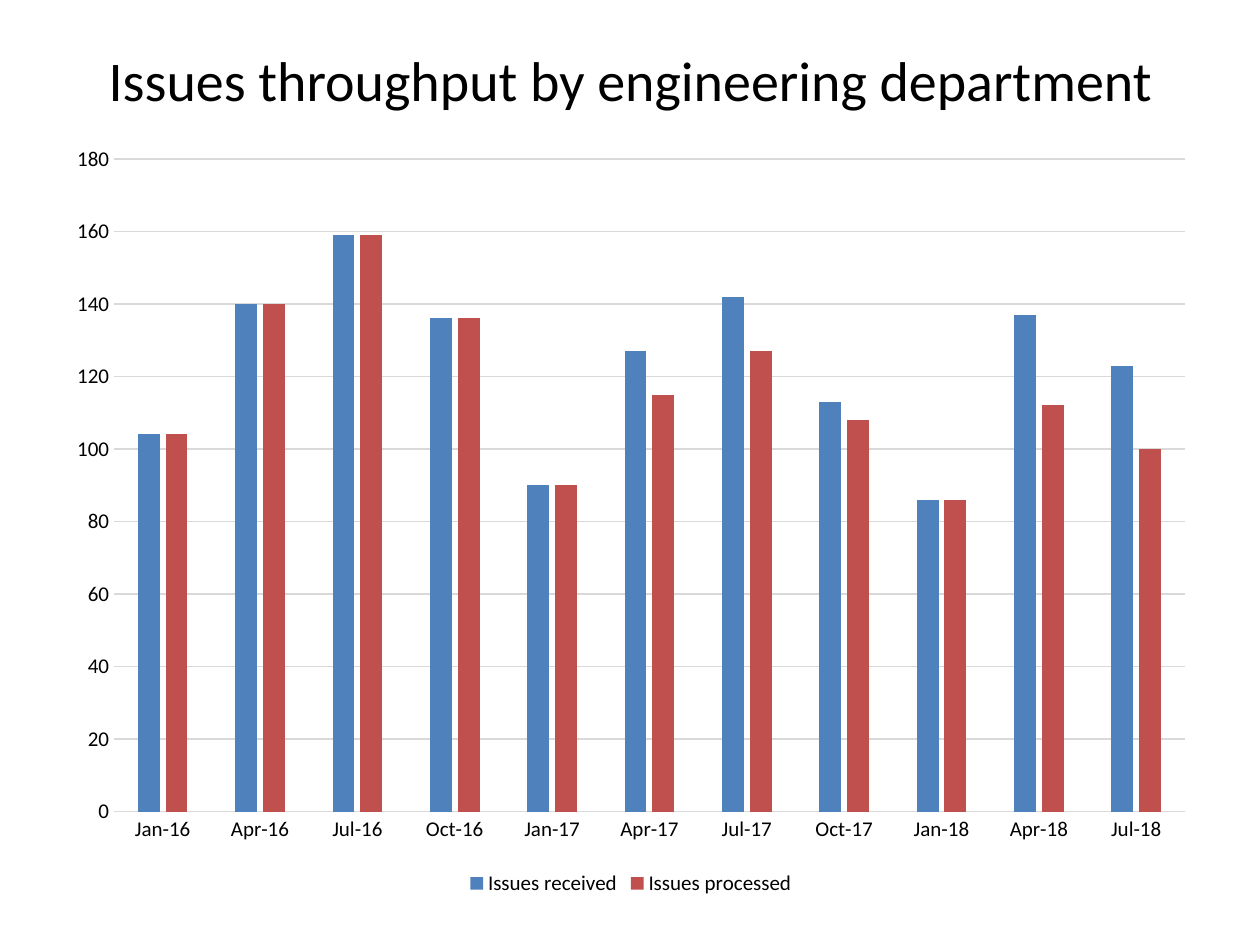
from dataclasses import dataclass
from typing import Any

from pptx import Presentation
from pptx import util as u
from pptx.chart import data
from pptx.dml import color
from pptx.enum import chart as ch
from pptx.enum import text

PX = 914400 // 126
HUES = {"ink": "000000", "grid": "D9D9D9", "blue": "4F81BD", "red": "C0504D"}
FACE = "Calibri"
DATES = [42370, 42461, 42552, 42644, 42736, 42826,
         42917, 43009, 43101, 43191, 43282]
MONTH = "mmm\\-yy"


@dataclass
class Group:
    name: str
    hue: str
    vals: list[int]


@dataclass
class Box:
    left: int
    top: int
    width: int
    height: int

    def emu(self) -> list[int]:
        return [n * PX for n in (self.left, self.top, self.width, self.height)]


GROUPS = [
    Group("Issues received", "blue",
          [104, 140, 159, 136, 90, 127, 142, 113, 86, 137, 123]),
    Group("Issues processed", "red",
          [104, 140, 159, 136, 90, 115, 127, 108, 86, 112, 100]),
]


def apply(item: Any, vals: dict[str, Any]) -> None:
    for key, val in vals.items():
        setattr(item, key, val)


def rgb(hue: str) -> color.RGBColor:
    return color.RGBColor.from_string(HUES[hue])


def style(font: Any, size: int) -> None:
    apply(font, {"name": FACE, "size": u.Pt(size), "bold": False})
    font.color.rgb = rgb("ink")


def rule(line: Any) -> None:
    line.color.rgb = rgb("grid")
    line.width = u.Pt(0.75)


def head(slide: Any, words: str, box: Box) -> None:
    title = slide.shapes.title
    apply(title, dict(zip(("left", "top", "width", "height"), box.emu())))
    frame = title.text_frame
    frame.text = words
    apply(frame, {
        "word_wrap": True,
        "vertical_anchor": text.MSO_ANCHOR.MIDDLE,
        "margin_left": 16 * PX, "margin_right": 16 * PX,
        "margin_top": 9 * PX, "margin_bottom": 9 * PX,
    })
    para = frame.paragraphs[0]
    para.alignment = text.PP_ALIGN.CENTER
    style(para.runs[0].font, 32)


def plot(slide: Any, groups: list[Group], box: Box) -> None:
    table = data.CategoryChartData(number_format="General")
    table.categories = DATES
    table.categories.number_format = MONTH
    for group in groups:
        table.add_series(group.name, group.vals)
    kind = ch.XL_CHART_TYPE.COLUMN_CLUSTERED
    chart = slide.shapes.add_chart(kind, *box.emu(), table).chart
    style(chart.font, 10)
    apply(chart, {"has_title": False, "has_legend": True})
    apply(chart.legend, {"position": ch.XL_LEGEND_POSITION.BOTTOM,
                         "include_in_layout": False})
    style(chart.legend.font, 12)
    bars = chart.plots[0]
    apply(bars, {"gap_width": 219, "overlap": -27, "vary_by_categories": False})
    for series, group in zip(bars.series, groups):
        series.format.fill.solid()
        series.format.fill.fore_color.rgb = rgb(group.hue)
    base, side = chart.category_axis, chart.value_axis
    for axis in (base, side):
        apply(axis, {"major_tick_mark": ch.XL_TICK_MARK.NONE,
                     "minor_tick_mark": ch.XL_TICK_MARK.NONE})
        style(axis.tick_labels.font, 12)
    apply(base.tick_labels, {"number_format": MONTH,
                             "number_format_is_linked": False})
    for auto in base._element.xpath("c:auto"):
        auto.set("val", "0")
    rule(base.format.line)
    apply(side, {"minimum_scale": 0, "maximum_scale": 180, "major_unit": 20,
                 "has_major_gridlines": True})
    side.format.line.fill.background()
    rule(side.major_gridlines.format.line)


deck = Presentation()
apply(deck, {"slide_width": 1260 * PX, "slide_height": 945 * PX})
page = deck.slides.add_slide(deck.slide_layouts[5])
plot(page, GROUPS, Box(54, 131, 1154, 770))
head(page, "Issues throughput by engineering department", Box(64, 0, 1134, 158))
deck.save("out.pptx")
